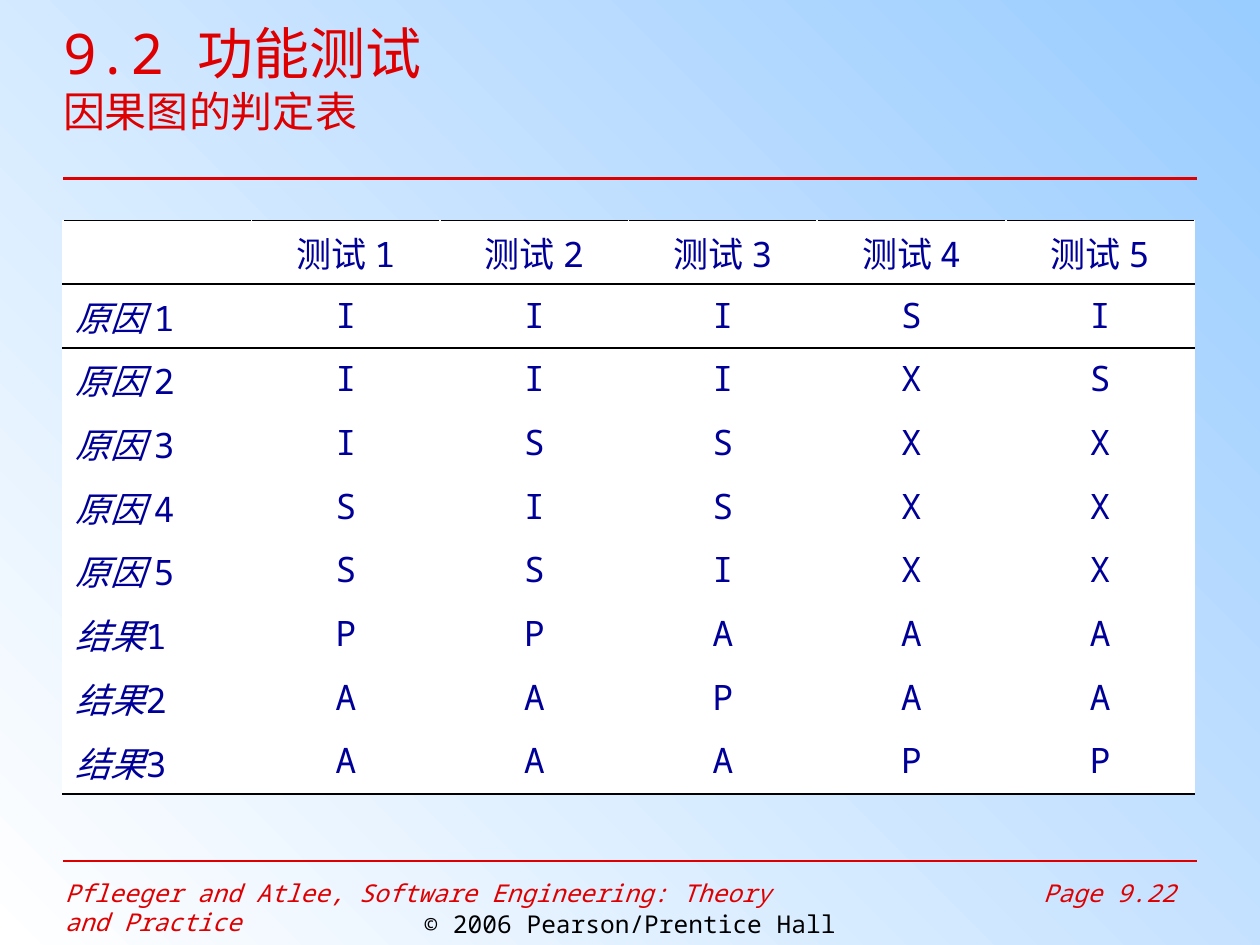
import dataclasses

import pptx
import pptx.dml.color
import pptx.enum.shapes
import pptx.enum.text
import pptx.oxml
import pptx.oxml.ns
import pptx.util

Pt = pptx.util.Pt
Align = pptx.enum.text.PP_ALIGN
Anchor = pptx.enum.text.MSO_ANCHOR


@dataclasses.dataclass(frozen=True)
class Theme:
    """Colours, font and type sizes."""
    red: str = "DE0000"
    navy: str = "000099"
    black: str = "000000"
    white: str = "FFFFFF"
    sky: str = "99CCFF"
    font: str = "Noto Sans Mono"
    head: int = 32
    sub: int = 24
    cell: int = 20
    foot: int = 14


THEME = Theme()
TESTS = ["测试 1", "测试 2", "测试 3", "测试 4", "测试 5"]
ROWS = [
    ("原因 ", "1", "IIISI"),
    ("原因 ", "2", "IIIXS"),
    ("原因 ", "3", "ISSXX"),
    ("原因 ", "4", "SISXX"),
    ("原因 ", "5", "SSIXX"),
    ("结果", "1", "PPAAA"),
    ("结果", "2", "AAPAA"),
    ("结果", "3", "AAAPP"),
]


def paint(hue):
    """Turn a hex string into a colour."""
    return pptx.dml.color.RGBColor.from_string(hue)


def style(item, values):
    """Set attributes from a dict."""
    for name, value in values.items():
        setattr(item, name, value)


def write(para, text, size, hue, italic=False):
    """Add one formatted run to a paragraph."""
    run = para.add_run()
    run.text = text
    style(run.font, {"name": THEME.font, "size": Pt(size), "italic": italic})
    run.font.color.rgb = paint(hue)


def rule(slide, box, weight):
    """Draw a red level line along the top of a box."""
    left, top, width, _ = box
    line = slide.shapes.add_connector(
        pptx.enum.shapes.MSO_CONNECTOR.STRAIGHT,
        Pt(left), Pt(top), Pt(left + width), Pt(top))
    line.line.color.rgb = paint(THEME.red)
    line.line.width = Pt(weight)
    props = line._element.spPr
    props.append(pptx.oxml.parse_xml(
        f"<a:effectLst {pptx.oxml.ns.nsdecls('a')}/>"))


def note(slide, box, text, hue, align, italic):
    """Place one footer text."""
    frame = slide.shapes.add_textbox(*map(Pt, box)).text_frame
    frame.word_wrap = True
    para = frame.paragraphs[0]
    para.alignment = align
    write(para, text, THEME.foot, hue, italic)


def title(slide, box):
    """Place the two-line heading and the rule below it."""
    left, top, width, height = box
    shape = slide.shapes.title
    style(shape, {"left": Pt(left), "top": Pt(top),
                  "width": Pt(width), "height": Pt(height)})
    frame = shape.text_frame
    style(frame, {"margin_left": 0, "margin_right": 0, "margin_top": 0,
                  "margin_bottom": 0, "vertical_anchor": Anchor.MIDDLE,
                  "word_wrap": True})
    para = frame.paragraphs[0]
    para.alignment = Align.LEFT
    write(para, "9.2 功能测试", THEME.head, THEME.red)
    para.add_line_break()
    write(para, "因果图的判定表", THEME.sub, THEME.red)
    rule(slide, (left, top + 102, 648, 0), 1.5)


def edge(cell, side):
    """Draw a black border on one side of a cell."""
    props = cell._tc.get_or_add_tcPr()
    props.append(pptx.oxml.parse_xml(
        f"<a:{side} {pptx.oxml.ns.nsdecls('a')} w='{Pt(1.08)}'><a:solidFill>"
        f"<a:srgbClr val='{THEME.black}'/></a:solidFill></a:{side}>"))


def grid(slide, box):
    """Build the decision table."""
    width, height = box[2:]
    count, span = len(ROWS) + 1, len(TESTS) + 1
    table = slide.shapes.add_table(count, span, *map(Pt, box)).table
    style(table, {"first_row": False, "horz_banding": False})
    for col in table.columns:
        col.width = Pt(width / span)
    for row in table.rows:
        row.height = Pt(height / count)
    marks = [TESTS] + [list(codes) for _, _, codes in ROWS]
    for r, line in enumerate(marks):
        for c in range(span):
            cell = table.cell(r, c)
            if r < 2:
                edge(cell, "lnT")
            if r in (0, count - 1):
                edge(cell, "lnB")
            cell.fill.solid()
            cell.fill.fore_color.rgb = paint(THEME.white)
            para = cell.text_frame.paragraphs[0]
            if c:
                para.alignment = Align.CENTER
                write(para, line[c - 1], THEME.cell, THEME.navy)
            elif r:
                name, digit, _ = ROWS[r - 1]
                write(para, name, THEME.cell, THEME.navy, True)
                write(para, digit, THEME.cell, THEME.navy)


def footer(slide, box):
    """Place the footer rule, source, page and copyright."""
    left, top, width, _ = box
    rule(slide, (left + 36, top, 648, 0), 0.75)
    note(slide, (left + 30, top + 6, 432, 25),
         "Pfleeger and Atlee, Software Engineering: Theory and Practice",
         THEME.red, Align.LEFT, True)
    note(slide, (left + 564, top + 6, 115, 25), "Page 9.22",
         THEME.red, Align.RIGHT, True)
    note(slide, (left, top + 24, width, 25), "© 2006 Pearson/Prentice Hall",
         THEME.black, Align.CENTER, False)


def shade(slide):
    """Fill the background from white at lower left to blue."""
    fill = slide.background.fill
    fill.gradient()
    fill.gradient_angle = 45
    for stop, hue in zip(fill.gradient_stops, (THEME.white, THEME.sky)):
        stop.color.rgb = paint(hue)


def main():
    """Build and save the deck."""
    deck = pptx.Presentation()
    style(deck, {"slide_width": Pt(720), "slide_height": Pt(540)})
    slide = deck.slides.add_slide(deck.slide_layouts.get_by_name("Title Only"))
    shade(slide)
    title(slide, (36, 0, 646.5, 88.5))
    grid(slide, (36, 126, 646.5, 327.6))
    footer(slide, (0, 492, 720, 48))
    deck.save("out.pptx")


if __name__ == "__main__":
    main()
